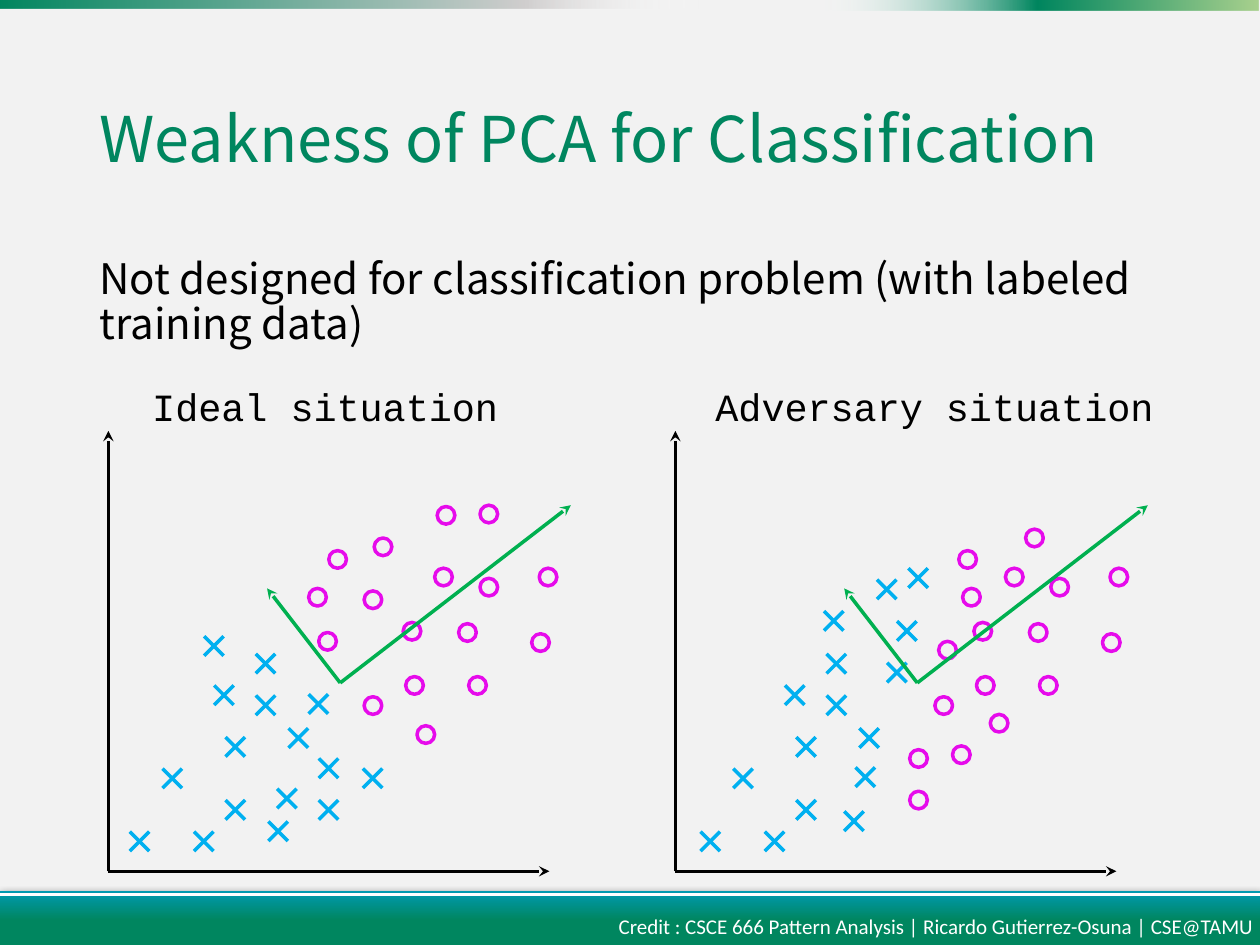
from dataclasses import dataclass

from lxml.etree import SubElement
from pptx import Presentation
from pptx.dml.color import RGBColor
from pptx.enum.shapes import MSO_CONNECTOR as Wire, MSO_SHAPE as Form
from pptx.enum.text import MSO_ANCHOR as Anchor, MSO_AUTO_SIZE as Fit, PP_ALIGN as Align
from pptx.oxml.ns import qn
from pptx.util import Cm, Pt


@dataclass(frozen=True)
class Theme:
    paper: str = "F2F2F2"
    green: str = "00865F"
    teal: str = "009AB3"
    lime: str = "A9D18E"
    silver: str = "D0CECE"
    white: str = "FFFFFF"
    ink: str = "000000"
    cross: str = "00B0F0"
    ring: str = "E60BEB"
    component: str = "00B050"
    sans: str = "Noto Sans CJK TC"
    mono: str = "Courier New"
    credit: str = "Calibri"
    title_size: int = 36
    body_size: int = 24
    label_size: int = 22
    credit_size: int = 12
    stroke: float = 2
    rule: float = 1.5


def length(inches):
    return Cm(inches * 2.54)


def color(code):
    return RGBColor.from_string(code)


def write(para, text, *, font, size, tint, align=Align.LEFT, spacing=None):
    para.alignment = align
    para.line_spacing = spacing
    para.space_before = Pt(0)
    span = para.add_run()
    span.text = text
    span.font.name = font
    span.font.size = Pt(size)
    span.font.color.rgb = color(tint)


class Painter:
    def __init__(self, page, theme):
        self.page = page
        self.theme = theme
        page.background.fill.solid()
        page.background.fill.fore_color.rgb = color(theme.paper)

    def place(self, box, left, top, width, height):
        box.left, box.top = length(left), length(top)
        box.width, box.height = length(width), length(height)

    def title(self, text, *area):
        box = self.page.shapes.title
        self.place(box, *area)
        box.text_frame.vertical_anchor = Anchor.MIDDLE
        write(box.text_frame.paragraphs[0], text, font=self.theme.sans,
              size=self.theme.title_size, tint=self.theme.green, spacing=0.9)

    def body(self, lines, *area):
        box = self.page.placeholders[1]
        self.place(box, *area)
        frame = box.text_frame
        for index, text in enumerate(lines):
            para = frame.add_paragraph() if index else frame.paragraphs[0]
            props = para._p.get_or_add_pPr()
            props.set("marL", "0")
            props.set("indent", "0")
            SubElement(props, qn("a:buNone"))
            write(para, text, font=self.theme.sans, size=self.theme.body_size,
                  tint=self.theme.ink, spacing=0.9)

    def label(self, text, *area, wrap=False, **style):
        box = self.page.shapes.add_textbox(*map(length, area))
        box.text_frame.word_wrap = wrap
        box.text_frame.auto_size = Fit.SHAPE_TO_FIT_TEXT
        write(box.text_frame.paragraphs[0], text, **style)

    def band(self, stops, angle, *area, shadow=False):
        box = self.page.shapes.add_shape(Form.RECTANGLE, *map(length, area))
        box.shadow.inherit = False
        box.line.fill.background()
        box.fill.gradient()
        box.fill.gradient_angle = angle
        props = box._element.spPr
        stop_list = props.find(qn("a:gradFill")).find(qn("a:gsLst"))
        for old in list(stop_list):
            stop_list.remove(old)
        for position, code, alpha in stops:
            stop = SubElement(stop_list, qn("a:gs"), pos=str(position * 1000))
            shade = SubElement(stop, qn("a:srgbClr"), val=code)
            SubElement(shade, qn("a:alpha"), val=str(alpha * 1000))
        if shadow:
            outer = SubElement(props.find(qn("a:effectLst")), qn("a:outerShdw"),
                               blurRad=str(Pt(4.5)), dist=str(Pt(1.5)), dir="5400000")
            shade = SubElement(outer, qn("a:srgbClr"), val=self.theme.ink)
            SubElement(shade, qn("a:alpha"), val="63000")

    def line(self, start, end, tint, *, width=None, arrow=False):
        wire = self.page.shapes.add_connector(Wire.STRAIGHT, *map(length, (*start, *end)))
        wire.line.color.rgb = color(tint)
        wire.line.width = Pt(width or self.theme.stroke)
        if arrow:
            SubElement(wire.line._get_or_add_ln(), qn("a:tailEnd"), type="stealth")
        SubElement(wire._element.spPr, qn("a:effectLst"))

    def cross(self, left, top, size=0.155):
        right, bottom = left + size, top + size
        self.line((left, top), (right, bottom), self.theme.cross)
        self.line((right, top), (left, bottom), self.theme.cross)

    def ring(self, left, top, size=0.14):
        box = self.page.shapes.add_shape(Form.OVAL, *map(length, (left, top, size, size)))
        box.shadow.inherit = False
        box.fill.background()
        box.line.color.rgb = color(self.theme.ring)
        box.line.width = Pt(self.theme.stroke)

    def scatter(self, axis, shift, crosses, rings, origin):
        corner = (axis, 6.915)
        self.line(corner, (axis + 3.5, 6.915), self.theme.ink, arrow=True)
        self.line(corner, (axis, 3.42), self.theme.ink, arrow=True)
        for draw, shared, own in ((self.cross, SHARED_CROSSES, crosses),
                                  (self.ring, SHARED_RINGS, rings)):
            for left, top in [(x + shift, y) for x, y in shared] + own:
                draw(left, top)
        for across, up in ((1.83, 1.41), (-0.58, 0.75)):
            self.line((origin, 5.42), (origin + across, 5.42 - up),
                      self.theme.component, arrow=True)


SHARED_CROSSES = [(1.29, 6.1), (2.29, 5.78), (2.03, 5.52), (1.03, 6.6), (1.54, 6.6),
                  (1.7, 5.44), (2.03, 5.19), (1.79, 6.35), (1.79, 5.85)]
SHARED_RINGS = [(4.28, 4.51), (3.72, 5.37), (3.22, 5.37), (4.22, 5.03), (3.81, 4.59),
                (2.89, 5.53), (3.64, 4.95), (3.2, 4.94), (3.45, 4.51)]
IDEAL_CROSSES = [(2.53, 6.35), (2.13, 6.52), (2.53, 6.02), (2.88, 6.1),
                 (2.2, 6.26), (2.45, 5.51), (1.62, 5.05)]
IDEAL_RINGS = [(3.31, 5.76), (2.53, 5.02), (2.61, 4.37), (3.47, 4.02),
               (2.89, 4.69), (3.81, 4.01), (2.45, 4.67), (2.97, 4.27)]
ADVERSARY_CROSSES = [(7.12, 4.93), (6.79, 6.09), (6.96, 4.6), (7.21, 4.51),
                     (7.04, 5.26), (6.7, 6.44), (6.54, 4.85)]
ADVERSARY_RINGS = [(7.22, 5.95), (7.56, 5.92), (7.61, 4.37), (8.14, 4.2),
                   (7.64, 4.67), (7.22, 6.28), (7.45, 5.09), (7.86, 5.67)]


def main():
    theme = Theme()
    deck = Presentation()
    deck.slide_width, deck.slide_height = Cm(25.4), Cm(19.05)
    painter = Painter(deck.slides.add_slide(deck.slide_layouts[1]), theme)

    painter.band([(0, theme.teal, 100), (50, theme.green, 100), (100, theme.green, 100)],
                 270, 0, 7.07, 10, 0.47, shadow=True)
    painter.line((0, 7.1), (10, 7.1), theme.white, width=theme.rule)
    painter.band([(0, theme.white, 0), (50, theme.green, 100), (100, theme.lime, 100)],
                 0, 6.48, 0, 3.51, 0.08)
    painter.band([(0, theme.green, 100), (75, theme.silver, 100), (100, theme.white, 0)],
                 0, -0.02, -0.05, 5.56, 0.12)

    painter.title("Weakness of PCA for Classification", 0.69, 0.4, 8.62, 1.45)
    painter.body(["Not designed for classification problem (with labeled", "training data)"],
                 0.69, 2, 8.62, 4.76)
    painter.scatter(0.86, 0, IDEAL_CROSSES, IDEAL_RINGS, 2.7)
    painter.scatter(5.36, 4.53, ADVERSARY_CROSSES, ADVERSARY_RINGS, 7.28)

    caption = dict(font=theme.mono, size=theme.label_size, tint=theme.ink)
    painter.label("Ideal situation", 1.11, 2.99, 2.99, 0.47, **caption)
    painter.label("Adversary situation", 5.58, 2.99, 3.73, 0.47, **caption)
    painter.label("Credit : CSCE 666 Pattern Analysis | Ricardo Gutierrez-Osuna | CSE@TAMU",
                  4.35, 7.2, 5.7, 0.3, wrap=True, font=theme.credit,
                  size=theme.credit_size, tint=theme.white, align=Align.RIGHT)
    deck.save("out.pptx")


if __name__ == "__main__":
    main()
